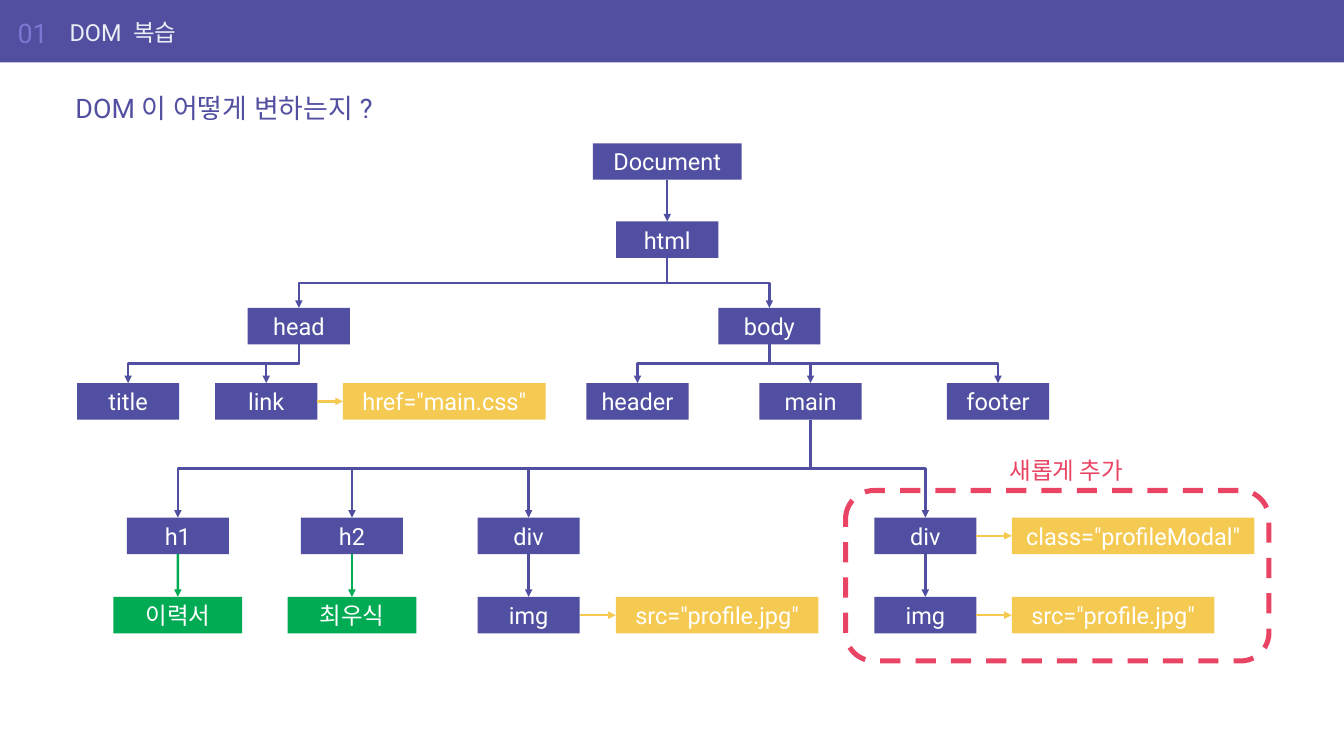
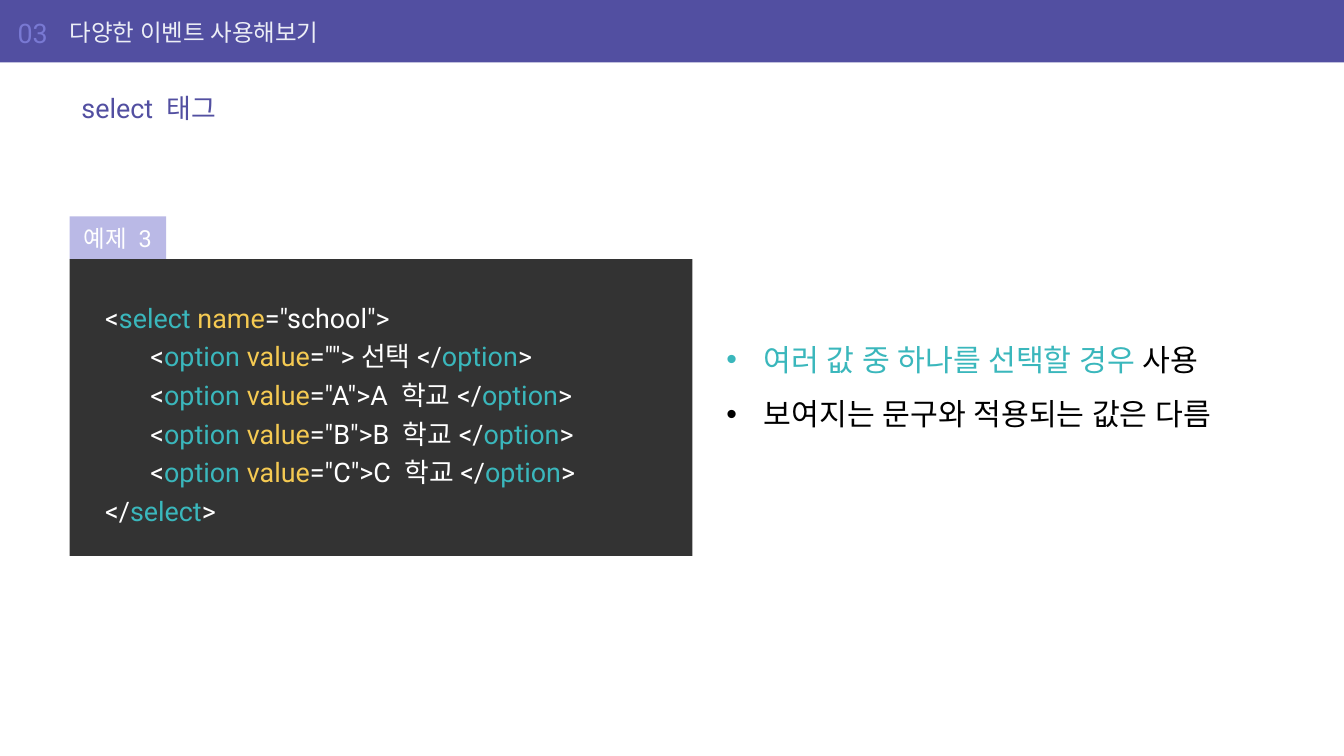
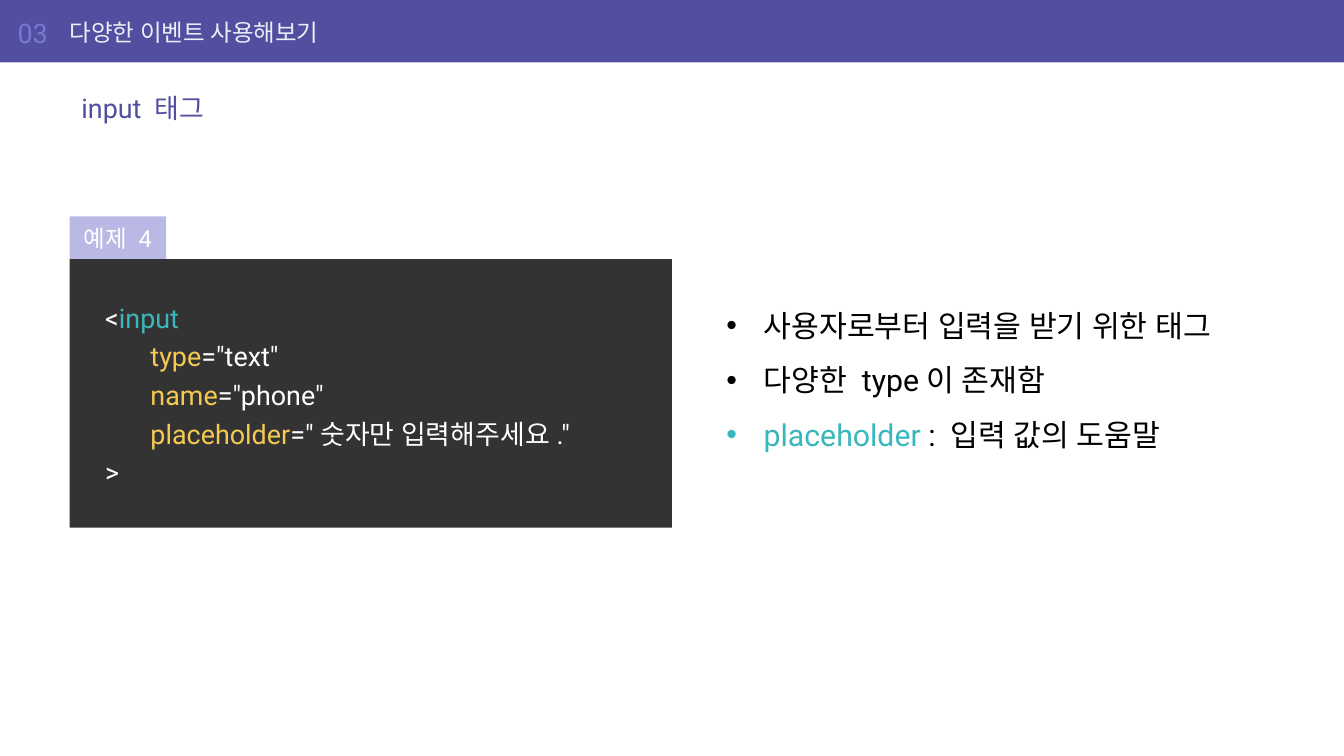
from dataclasses import dataclass

from pptx import Presentation
from pptx.dml.color import RGBColor
from pptx.enum.dml import MSO_LINE as Dash
from pptx.enum.shapes import MSO_CONNECTOR as Wire, MSO_SHAPE as Form
from pptx.enum.text import MSO_ANCHOR as Anchor, MSO_AUTO_SIZE as Fit, PP_ALIGN as Align
from pptx.oxml.ns import qn
from pptx.oxml.xmlchemy import OxmlElement as Tag
from pptx.util import Cm, Pt


# Theme: colours, font and type sizes
@dataclass(frozen=True)
class Theme:
    font: str = "Roboto"
    band: str = "524FA1"
    node: str = "504FA1"
    count: str = "7979D3"
    pale: str = "ECEEF6"
    tab: str = "BAB9E6"
    dark: str = "333333"
    gold: str = "F5CA52"
    teal: str = "3AB7BC"
    green: str = "00AB53"
    pink: str = "EA4464"
    white: str = "FFFFFF"
    black: str = "000000"
    small: int = 28
    mid: int = 32
    large: int = 36


T = Theme()
MARKS = {"#": T.teal, "@": T.gold}  # first sign of a coloured run
WIDE, HIGH = 56.44, 31.75
NODE_W, NODE_H = 4.29, 1.53
LEFT = 2.92


def rgb(code):
    return RGBColor.from_string(code)


def place(shape, box):
    shape.left, shape.top, shape.width, shape.height = map(Cm, box)


# Text: "|" parts the runs of a line, a leading tab indents it
def write(shape, *lines, size=T.small, color=T.white, align=Align.LEFT,
          anchor=Anchor.MIDDLE, inset=(.25, .13, .25, .13), space=1.0, bullet=False):
    frame = shape.text_frame
    frame.word_wrap, frame.auto_size = True, Fit.NONE
    frame.vertical_anchor = anchor
    (frame.margin_left, frame.margin_top,
     frame.margin_right, frame.margin_bottom) = map(Cm, inset)
    for i, line in enumerate(lines):
        para = frame.add_paragraph() if i else frame.paragraphs[0]
        para.alignment, para.line_spacing = align, space
        para.space_before = Pt(0)
        props = para._p.get_or_add_pPr()
        if bullet:
            props.set("marL", str(Cm(1.57)))
            props.set("indent", str(Cm(-1.57)))
            dot = Tag("a:buChar")
            dot.set("char", "•")
            props.append(dot)
        elif line.startswith("\t"):
            props.set("marL", str(Cm(1.9)))
        for part in line.lstrip("\t").split("|"):
            run = para.add_run()
            mark = MARKS.get(part[0])
            run.text = part[1:] if mark else part
            run.font.size, run.font.name = Pt(size), T.font
            run.font.color.rgb = rgb(mark or color)
            east = Tag("a:ea")
            east.set("typeface", T.font)
            run._r.get_or_add_rPr().append(east)


def label(slide, text, box, **style):
    write(slide.shapes.add_textbox(*map(Cm, box)), text, **style)


def block(slide, box, fill=None, form=Form.RECTANGLE):
    shape = slide.shapes.add_shape(form, *map(Cm, box))
    shape.shadow.inherit = False
    shape.line.fill.background()
    if fill:
        shape.fill.solid()
        shape.fill.fore_color.rgb = rgb(fill)
    else:
        shape.fill.background()
    return shape


# Tree parts
def node(slide, text, mid, top, wide=NODE_W, fill=T.node):
    shape = block(slide, (mid - wide / 2, top, wide, NODE_H), fill)
    write(shape, text, align=Align.CENTER, inset=(.18,) * 4)
    return shape


def note(slide, text, owner, left, wide=8.51):
    shape = node(slide, text, left + wide / 2, owner.top.cm, wide, T.gold)
    join(slide, owner, shape, T.gold)


def join(slide, start, end, color=T.node):
    level = start.top == end.top
    shift = end.left + end.width // 2 - start.left - start.width // 2
    bent = not level and abs(shift) > Cm(.1)
    line = slide.shapes.add_connector(Wire.ELBOW if bent else Wire.STRAIGHT, 0, 0, 0, 0)
    line.begin_connect(start, 3 if level else 2)
    line.end_connect(end, 1 if level else 0)
    props = line.element.spPr
    if bent:  # turn the elbow so that it leaves downwards
        gap, run = line.height, abs(shift)
        mid_x, mid_y = line.left + run // 2, line.top + gap // 2
        line.left, line.top = mid_x - gap // 2, mid_y - run // 2
        line.width, line.height = gap, run
        frame = props.find(qn("a:xfrm"))
        frame.set("rot", str((270 if shift > 0 else 90) * 60000))
        frame.set("flipH", "1" if shift > 0 else "0")
    line.line.color.rgb, line.line.width = rgb(color), Pt(3)
    tip = Tag("a:tailEnd")
    tip.set("type", "triangle")
    props.find(qn("a:ln")).append(tip)
    props.append(Tag("a:effectLst"))


# Shared slide parts
def add_band(deck, slide):
    band = block(slide, (-.03, -.05, WIDE + .06, 2.67), T.band)
    band.element.nvSpPr.cNvPr.set("id", "20")
    deck.slide_master.shapes.element.insert(2, band.element)


def add_page(deck, layout, count, topic, title, left=LEFT):
    slide = deck.slides.add_slide(deck.slide_layouts[layout])
    flush = (0, .13, .25, .13)
    label(slide, count, (.74, .38, 2.21, 1.96), size=T.mid, color=T.count, inset=flush)
    label(slide, topic, (LEFT, .38, 47.7, 1.96), color=T.pale, inset=flush)
    place(slide.shapes.title, (left, 3.56, 50.6, 1.96))
    write(slide.shapes.title, title, size=T.mid, color=T.band)
    return slide


def code_page(deck, title, tag, code, size, points, top):
    slide = add_page(deck, 1, "03", "다양한 이벤트 사용해보기", title, LEFT + .25)
    write(block(slide, (LEFT, 9.09, 4.06, 1.8), T.tab), tag, align=Align.CENTER)
    write(block(slide, (LEFT, 10.88, *size), T.dark), *code, size=T.mid,
          anchor=Anchor.TOP, inset=(1.5,) * 4, space=1.2)
    body = slide.placeholders[1]
    place(body, (30.25, top, 23.29, 29.78 - top))
    write(body, *points, size=T.large, color=T.black, anchor=Anchor.TOP,
          space=1.5, bullet=True)


# Slide 1: the document tree
def tree_page(deck):
    slide = add_page(deck, 5, "01", "DOM 복습", "DOM이 어떻게 변하는지?")
    add_band(deck, slide)
    rows = (6.02, 9.3, 12.93, 16.09, 21.74, 25.07)

    def grow(parent, text, mid, row, wide=NODE_W, fill=T.node):
        child = node(slide, text, mid, rows[row], wide, fill)
        join(slide, parent, child, fill)
        return child

    root = node(slide, "Document", 28.02, rows[0], 6.25)
    html = grow(root, "html", 28.02, 1)
    head = grow(html, "head", 12.55, 2)
    body = grow(html, "body", 32.31, 2)
    grow(head, "title", 5.38, 3)
    link = grow(head, "link", 11.18, 3)
    note(slide, 'href="main.css"', link, 14.4)
    grow(body, "header", 26.77, 3)
    core = grow(body, "main", 34.04, 3)
    grow(body, "footer", 41.91, 3)

    for name, text, mid in (("h1", "이력서", 7.47), ("h2", "최우식", 14.78)):
        grow(grow(core, name, mid, 4), text, mid, 5, 5.41, T.green)
    for mid, left in ((22.2, 25.86), (38.86, 42.49)):
        div = grow(core, "div", mid, 4)
        note(slide, 'src="profile.jpg"', grow(div, "img", mid, 5), left)
    note(slide, 'class="profileModal"', div, 42.49, 10.19)

    # Frame around the new branch
    frame = block(slide, (35.51, 20.6, 17.78, 7.16), form=Form.ROUNDED_RECTANGLE)
    frame.line.color.rgb, frame.line.width = rgb(T.pink), Pt(6)
    frame.line.dash_style = Dash.DASH
    label(slide, "새롭게 추가", (40.59, 18.8, 8.38, 1.7), color=T.pink,
          align=Align.CENTER, anchor=Anchor.TOP, space=1.2)


def option(value, text):
    return f'\t<|#option |@value|="{value}">{text}</|#option|>'


def main():
    deck = Presentation()
    deck.slide_width, deck.slide_height = Cm(WIDE), Cm(HIGH)
    tree_page(deck)
    # Slide 2: select
    schools = [option(key, f"{key} 학교") for key in "ABC"]
    code_page(deck, "select 태그", "예제 3",
              ('<|#select |@name|="school">', option("", "선택"), *schools,
               "</|#select|>"), (26.16, 12.47),
              ("#여러 값 중 하나를 선택할 경우 |사용", "보여지는 문구와 적용되는 값은 다름"),
              13.44)
    # Slide 3: input
    code_page(deck, "input 태그", "예제 4",
              ("<|#input", '\t@type|="text"', '\t@name|="phone"',
               '\t@placeholder|="숫자만 입력해주세요."', ">"), (25.3, 11.28),
              ("사용자로부터 입력을 받기 위한 태그", "다양한 type이 존재함",
               "#placeholder| : 입력 값의 도움말"), 12.01)
    deck.save("out.pptx")


main()
